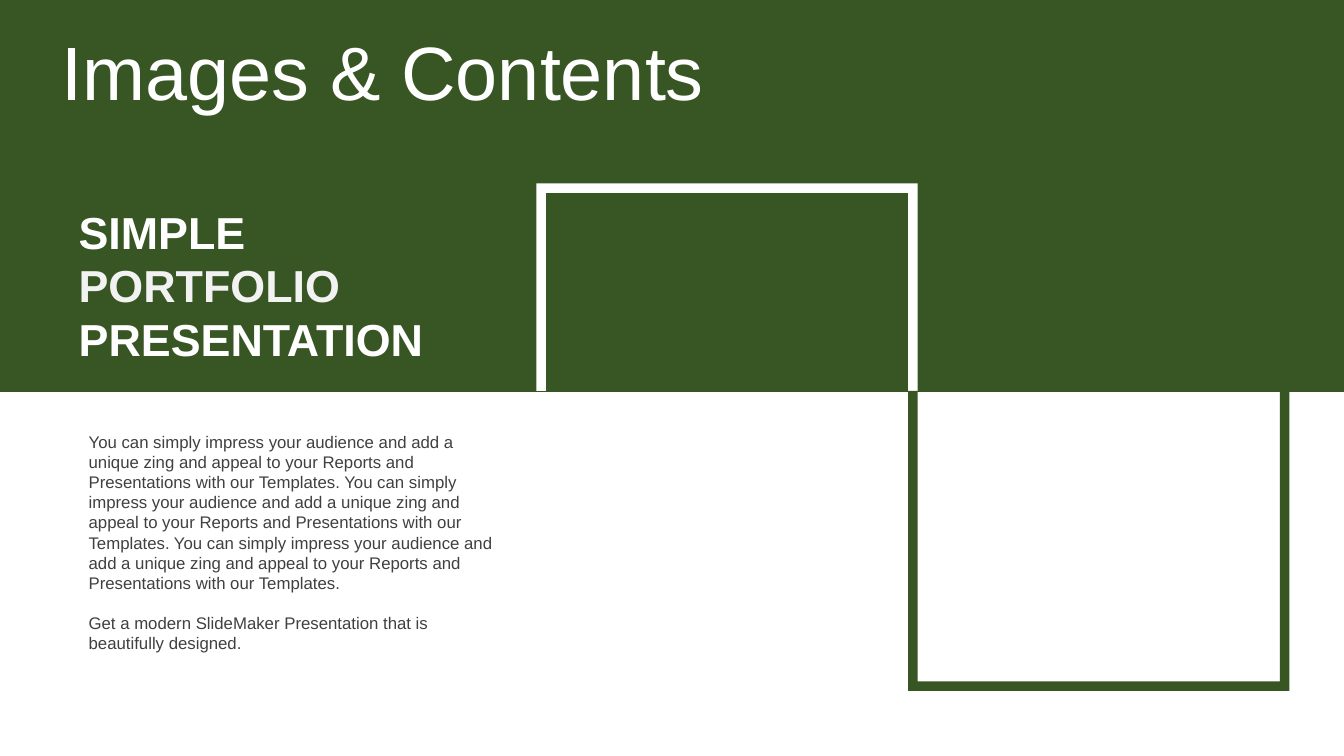
from pptx import Presentation
from pptx.dml.color import RGBColor
from pptx.enum.shapes import MSO_SHAPE
from pptx.enum.text import MSO_ANCHOR
from pptx.util import Pt

GREEN = RGBColor(0x37, 0x56, 0x23)
WHITE = RGBColor(0xFF, 0xFF, 0xFF)
PALE = RGBColor(0xF2, 0xF2, 0xF2)
GRAY = RGBColor(0x40, 0x40, 0x40)

SLIDE_WIDTH, SLIDE_HEIGHT = 960, 540
BAND_HEIGHT = 280
SEAM = 279.2
FRAME_WIDTH, FRAME_THICKNESS = 272.2, 6.8
TEXT_LEFT = 56.2
HEADING_TOP, HEADING_PITCH = 146.9, 38.16

HEADINGS = [("SIMPLE", 139.7, WHITE), ("PORTFOLIO", 203.8, PALE), ("PRESENTATION", 255.6, WHITE)]
SENTENCE = (
    "You can simply impress your audience and add a unique zing and appeal "
    "to your Reports and Presentations with our Templates."
)
BODY = [
    " ".join([SENTENCE] * 3),
    "Get a modern SlideMaker Presentation that is beautifully designed.",
]

TITLE_FORMAT = {"size": Pt(54), "name": "Arial"}
HEADING_FORMAT = {"size": Pt(32), "name": "Arial", "bold": True}
BODY_FORMAT = {"size": Pt(12), "name": "Arial"}
MIDDLE = {"vertical_anchor": MSO_ANCHOR.MIDDLE}
HEADING_FRAME = {**MIDDLE, "margin_left": 0}


def set_values(target, values):
    for name, value in values.items():
        setattr(target, name, value)


def paint(shape, color):
    shape.shadow.inherit = False
    shape.fill.solid()
    shape.fill.fore_color.rgb = color
    shape.line.fill.background()


def add_band(slide):
    band = slide.shapes.add_shape(
        MSO_SHAPE.RECTANGLE, 0, 0, Pt(SLIDE_WIDTH), Pt(BAND_HEIGHT)
    )
    paint(band, GREEN)


def add_text(slide, box, texts, font_format, color, frame_format, paragraph_format):
    text_box = slide.shapes.add_textbox(*map(Pt, box))
    frame = text_box.text_frame
    frame.word_wrap = True
    set_values(frame, frame_format)
    for index, text in enumerate(texts):
        paragraph = frame.paragraphs[0]
        if index:
            paragraph = frame.add_paragraph()
            set_values(paragraph, paragraph_format)
        run = paragraph.add_run()
        run.text = text
        set_values(run.font, font_format)
        run.font.color.rgb = color
    return frame


def add_open_frame(slide, left, open_edge, closed_edge, color):
    right = left + FRAME_WIDTH
    inner_left, inner_right = left + FRAME_THICKNESS, right - FRAME_THICKNESS
    step = FRAME_THICKNESS if closed_edge < open_edge else -FRAME_THICKNESS
    inner_edge = closed_edge + step
    points = [
        (left, open_edge), (left, closed_edge), (right, closed_edge), (right, open_edge),
        (inner_right, open_edge), (inner_right, inner_edge),
        (inner_left, inner_edge), (inner_left, open_edge),
    ]
    start, *others = [(Pt(x), Pt(y)) for x, y in points]
    builder = slide.shapes.build_freeform(*start)
    builder.add_line_segments(others, close=True)
    paint(builder.convert_to_shape(), color)


def main():
    presentation = Presentation()
    presentation.slide_width = Pt(SLIDE_WIDTH)
    presentation.slide_height = Pt(SLIDE_HEIGHT)
    slide = presentation.slides.add_slide(presentation.slide_layouts[6])

    add_band(slide)
    for index, (text, width, color) in enumerate(HEADINGS):
        box = (TEXT_LEFT, HEADING_TOP + index * HEADING_PITCH, width, 36.7)
        add_text(slide, box, [text], HEADING_FORMAT, color, HEADING_FRAME, {})
    add_text(
        slide, (TEXT_LEFT, 304.6, 306, 167), BODY, BODY_FORMAT, GRAY,
        {}, {"space_before": Pt(14)},
    )
    title = add_text(
        slide, (36.7, 25.9, 790.6, 56.9), ["Images & Contents"],
        TITLE_FORMAT, WHITE, MIDDLE, {},
    )
    title.paragraphs[0].line_spacing = 0.9
    add_open_frame(slide, 383.2, SEAM, 131, WHITE)
    add_open_frame(slide, 648.7, SEAM, 493.4, GREEN)

    presentation.save("out.pptx")


if __name__ == "__main__":
    main()
